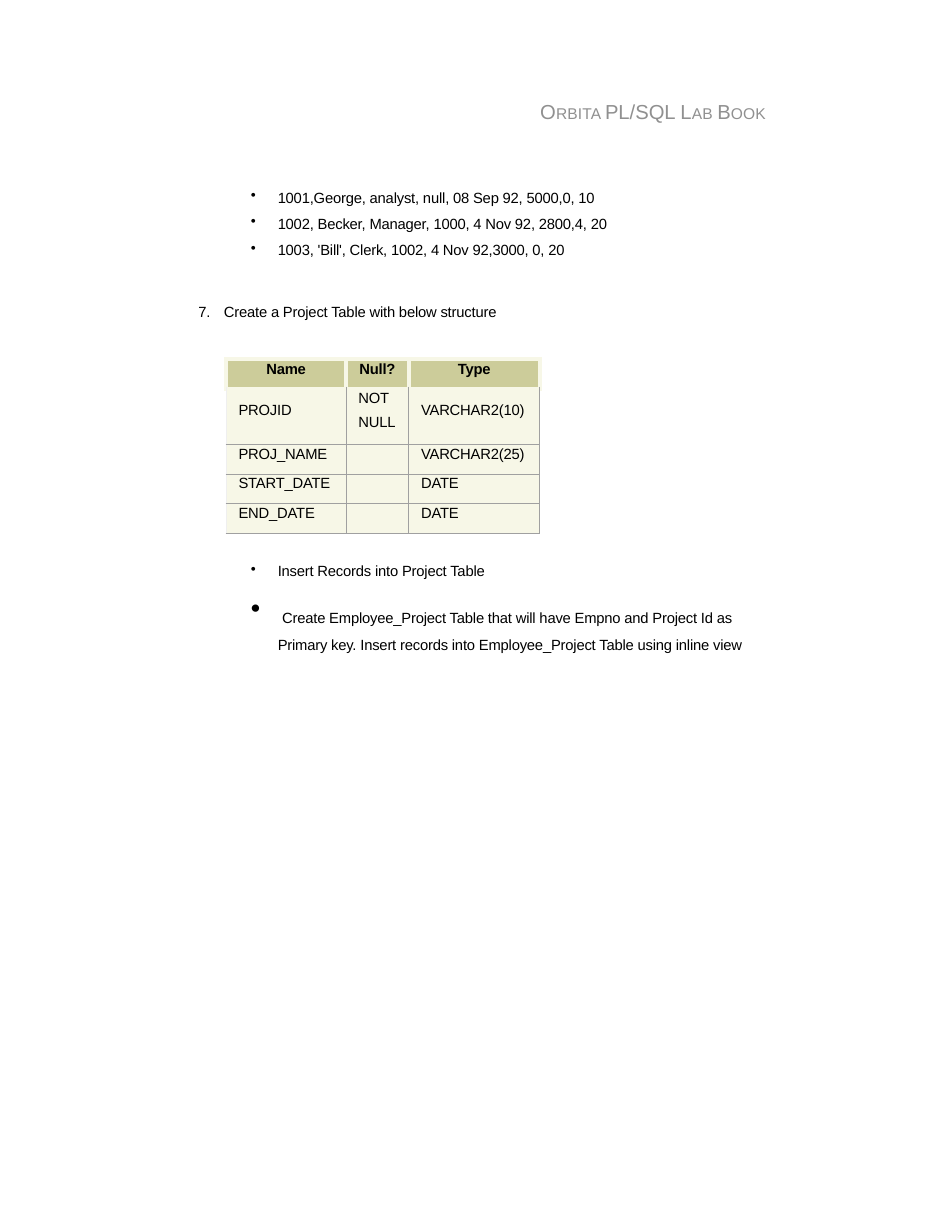
import pptx
import pptx.dml.color
import pptx.enum.text
import pptx.oxml.ns
import pptx.util
from lxml import etree

Cm = pptx.util.Cm
Pt = pptx.util.Pt
RGBColor = pptx.dml.color.RGBColor
ALIGN = pptx.enum.text.PP_ALIGN
ANCHOR = pptx.enum.text.MSO_ANCHOR

BLACK = RGBColor(0x00, 0x00, 0x00)
GREY = RGBColor(0x90, 0x90, 0x90)
RULE = RGBColor(0xA0, 0xA0, 0xA0)
EDGE = RGBColor(0xEF, 0xEF, 0xEF)
KHAKI = RGBColor(0xCC, 0xCC, 0x9A)
CREAM = RGBColor(0xF7, 0xF7, 0xE7)

BODY = 9.5
RECORDS = [
    "1001,George, analyst, null, 08 Sep 92, 5000,0, 10",
    "1002, Becker, Manager, 1000, 4 Nov 92, 2800,4, 20",
    "1003, 'Bill', Clerk, 1002, 4 Nov 92,3000, 0, 20",
]
COLUMNS = [("Name", 2.72), ("Null?", 1.42), ("Type", 2.97)]
FIELDS = [
    ("PROJID", "NOT\nNULL", "VARCHAR2(10)"),
    ("PROJ_NAME", "", "VARCHAR2(25)"),
    ("START_DATE", "", "DATE"),
    ("END_DATE", "", "DATE"),
]
ROW_HEIGHT, TALL_ROW = 0.67, 1.26


def add_element(parent, tag, **attrs):
    """Append a DrawingML child with the given attributes."""
    child = etree.SubElement(parent, pptx.oxml.ns.qn(tag))
    for name, value in attrs.items():
        child.set(name, str(value))
    return child


def add_run(p, text, size=BODY, color=BLACK, font="Arial", bold=False, spacing=-10):
    """Add one formatted run to a paragraph."""
    r = p.add_run()
    r.text = text
    r.font.size = Pt(size)
    r.font.name = font
    r.font.bold = bold
    r.font.color.rgb = color
    r._r.get_or_add_rPr().set("spc", str(spacing))


def set_indent(p, left, hanging=0, bullet=None, tab=None):
    """Set the indents, bullet and tab stop of a paragraph, in centimetres."""
    pPr = p._p.get_or_add_pPr()
    pPr.set("marL", str(Cm(left)))
    pPr.set("indent", str(Cm(-hanging)))
    if bullet:
        add_element(pPr, "a:buChar", char=bullet)
    if tab:
        tabs = add_element(pPr, "a:tabLst")
        add_element(tabs, "a:tab", pos=Cm(tab), algn="l")


def set_frame(tf, top):
    """Remove the insets of a text frame except the top one."""
    tf.margin_left = tf.margin_right = tf.margin_bottom = 0
    tf.margin_top = Cm(top)
    tf.word_wrap = True
    tf.auto_size = pptx.enum.text.MSO_AUTO_SIZE.NONE
    tf.vertical_anchor = ANCHOR.TOP


def add_text(s, left, top, width, height):
    """Add a text box and return its text frame."""
    tf = s.shapes.add_textbox(Cm(left), Cm(top), Cm(width), Cm(height)).text_frame
    set_frame(tf, 0.23)
    return tf


def add_title(s):
    """Fill the title placeholder with small-capital words."""
    sp = s.shapes.title
    sp.left, sp.top, sp.width, sp.height = Cm(12.22), Cm(2.21), Cm(5.44), Cm(0.64)
    set_frame(sp.text_frame, 0.05)
    p = sp.text_frame.paragraphs[0]
    p.alignment = ALIGN.LEFT
    set_indent(p, 0.03)
    for large, small in [("O", "RBITA "), ("PL/SQL ", ""), ("L", "AB "), ("B", "OOK")]:
        add_run(p, large, 13, GREY, spacing=0 if not small else 10)
        if small:
            add_run(p, small, 10, GREY, spacing=10)


def add_records(s):
    """Add the employee records and the next numbered task."""
    tf = add_text(s, 4.47, 4.04, 9.5, 3.2)
    for i, record in enumerate(RECORDS):
        p = tf.add_paragraph() if i else tf.paragraphs[0]
        set_indent(p, 1.83, 0.61, "•", 1.83)
        if i:
            p.space_before = Pt(5.5)
        add_run(p, record)
    p = tf.add_paragraph()
    set_indent(p, 0.61, 0.58, tab=0.61)
    p.space_before = Pt(28.5)
    add_run(p, "7.\tCreate a Project Table with below structure")


def set_borders(cell, **sides):
    """Draw the cell borders, each given as a colour and a width."""
    tcPr = cell._tc.get_or_add_tcPr()
    for side in "LRTB":
        color, width = sides[side]
        ln = add_element(tcPr, f"a:ln{side}", w=Pt(width))
        add_element(add_element(ln, "a:solidFill"), "a:srgbClr", val=color)


def fill_cell(cell, text, fill, top, bold=False):
    """Write the lines of a cell and fill it."""
    cell.margin_left = cell.margin_right = cell.margin_bottom = 0
    cell.margin_top = Cm(top)
    cell.fill.solid()
    cell.fill.fore_color.rgb = fill
    tf = cell.text_frame
    for i, line in enumerate(text.split("\n")):
        p = tf.add_paragraph() if i else tf.paragraphs[0]
        if i:
            p.space_before = Pt(4.8)
        if bold:
            p.alignment = ALIGN.CENTER
        else:
            set_indent(p, 0.28)
        p.font.size = Pt(BODY)
        if line:
            add_run(p, line, bold=bold)


def add_structure_table(s):
    """Add the table that describes the project columns."""
    heights = [TALL_ROW if i == 1 else ROW_HEIGHT for i in range(len(FIELDS) + 1)]
    widths = [width for _, width in COLUMNS]
    table = s.shapes.add_table(len(heights), len(widths), Cm(5.13), Cm(8.15),
                               Cm(sum(widths)), Cm(sum(heights))).table
    table.horz_banding = False
    for row, height in zip(table.rows, heights):
        row.height = Cm(height)
    for j, (name, width) in enumerate(COLUMNS):
        table.columns[j].width = Cm(width)
        cell = table.cell(0, j)
        set_borders(cell, **dict.fromkeys("LRTB", (CREAM, 3)))
        fill_cell(cell, name, KHAKI, 0.03, bold=True)
    thin = (RULE, 0.75)
    for i, field in enumerate(FIELDS, 1):
        for j, text in enumerate(field):
            cell = table.cell(i, j)
            set_borders(cell, L=thin if j else (EDGE, 0.75), R=thin,
                        T=(CREAM, 3) if i == 1 else thin, B=thin)
            single_line = i == 1 and "\n" not in text
            fill_cell(cell, text, CREAM, 0.3 if single_line else 0.03)


def add_tasks(s):
    """Add the closing bulleted tasks."""
    tf = add_text(s, 5.66, 12.52, 11.48, 1.83)
    p = tf.paragraphs[0]
    set_indent(p, 0.64, 0.61, "•", 0.64)
    add_run(p, "Insert Records into Project Table")
    p = tf.add_paragraph()
    set_indent(p, 0.64, 0.61, "•", 0.74)
    p.line_spacing = 1.42
    p.space_before = Pt(0.7)
    add_run(p, "\t", 18, font="Calibri", spacing=0)
    add_run(p, "Create Employee_Project Table that will have Empno and Project Id as "
               "Primary key. Insert records into Employee_Project Table using inline view")


def main():
    """Build the lab book page."""
    prs = pptx.Presentation()
    prs.slide_width, prs.slide_height = Cm(21.59), Cm(27.94)
    s = prs.slides.add_slide(prs.slide_layouts[5])
    add_title(s)
    add_records(s)
    add_structure_table(s)
    add_tasks(s)
    prs.save("out.pptx")


if __name__ == "__main__":
    main()
